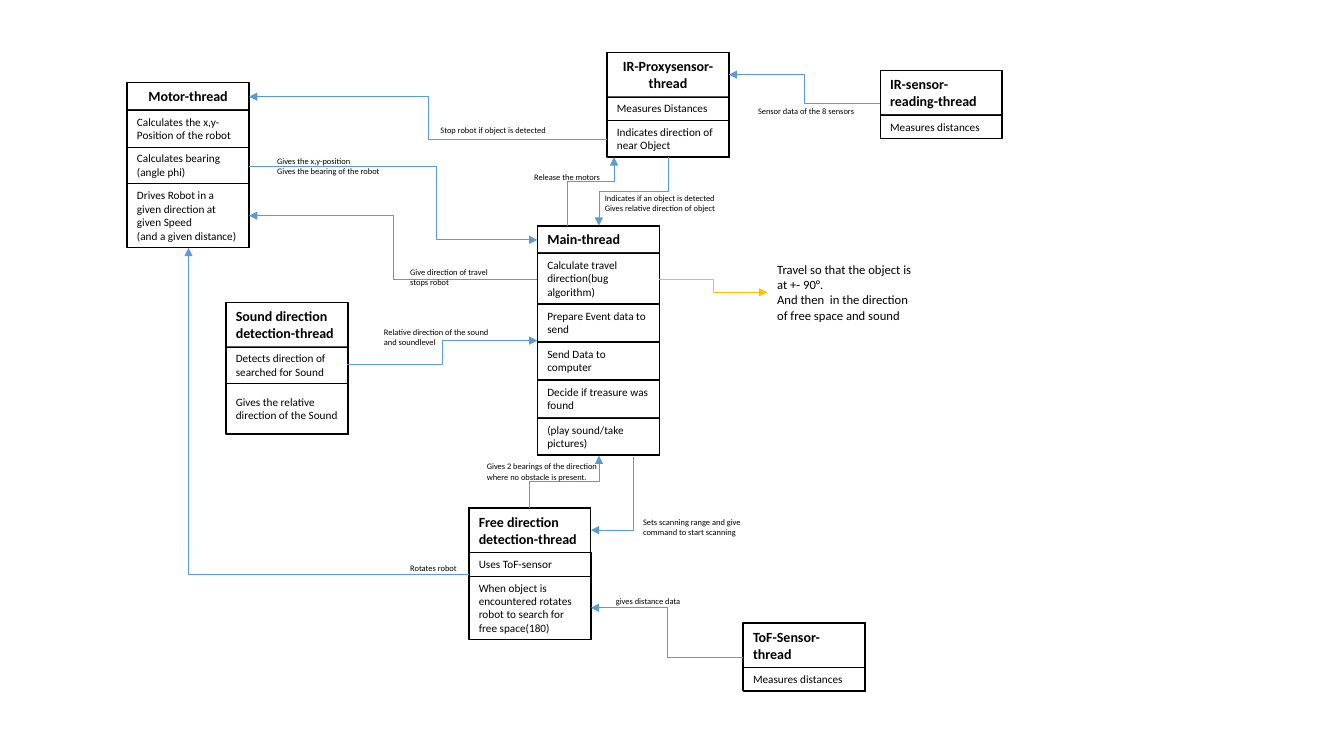
import pptx
import pptx.util
import pptx.dml.color
import pptx.enum.dml
import pptx.enum.shapes
import pptx.enum.text
import pptx.oxml.ns
import lxml.etree

Inches = pptx.util.Inches
Pt = pptx.util.Pt
ALIGN = pptx.enum.text.PP_ALIGN
COLORS = {"ink": "000000", "paper": "FFFFFF", "flow": "5B9BD5", "hint": "FFC000"}
RGB = {name: pptx.dml.color.RGBColor.from_string(value) for name, value in COLORS.items()}

BOX_WIDTH = 1.21
PADDING = 0.1
TITLE_LINE = 0.17
ROW_LINE = 0.133

presentation = pptx.Presentation()
presentation.slide_width = Inches(13.33)
presentation.slide_height = Inches(7.5)
slide = presentation.slides.add_slide(presentation.slide_layouts[6])


def write_text(shape, text, size, bold=False, align=ALIGN.LEFT):
    """Fill a shape with one paragraph for each line of text."""
    frame = shape.text_frame
    frame.word_wrap = True
    for index, line in enumerate(text.split("\n")):
        paragraph = frame.paragraphs[0] if index == 0 else frame.add_paragraph()
        paragraph.alignment = align
        run = paragraph.add_run()
        run.text = line
        run.font.name = "Calibri"
        run.font.size = Pt(size)
        run.font.bold = bold
        run.font.color.rgb = RGB["ink"]


def add_arrow(start, end, color="flow", vertical=False, bend=0.5):
    """Draw an elbow arrow; bend=None gives a single corner."""
    (x1, y1), (x2, y2) = start, end
    if vertical:
        # Lay the elbow flat around its centre, then turn it by 90 degrees
        cx, cy = (x1 + x2) / 2, (y1 + y2) / 2
        x1, y1, x2, y2 = cx + y1 - cy, cy - x1 + cx, cx + y2 - cy, cy - x2 + cx
    connector = slide.shapes.add_connector(
        pptx.enum.shapes.MSO_CONNECTOR.ELBOW,
        Inches(x1), Inches(y1), Inches(x2), Inches(y2))
    connector.line.color.rgb = RGB[color]
    connector.line.width = Pt(0.5)
    qn = pptx.oxml.ns.qn
    properties = connector._element.spPr
    if vertical:
        properties.find(qn("a:xfrm")).set("rot", "5400000")
    geometry = properties.find(qn("a:prstGeom"))
    if bend is None:
        geometry.set("prst", "bentConnector2")
    elif bend != 0.5:
        guide = lxml.etree.SubElement(geometry.find(qn("a:avLst")), qn("a:gd"))
        guide.set("name", "adj1")
        guide.set("fmla", f"val {round(bend * 100000)}")
    lxml.etree.SubElement(properties.find(qn("a:ln")), qn("a:tailEnd")).set("type", "triangle")
    lxml.etree.SubElement(properties, qn("a:effectLst"))


# Threads: left, top, title, title lines, title alignment, row gap, rows (text, lines)
threads = [
    (1.26, 0.82, "Motor-thread", 1, ALIGN.CENTER, 0, [
        ("Calculates the x,y-Position of the robot", 2),
        ("Calculates bearing (angle phi)", 2),
        ("Drives Robot in a given direction at given Speed\n(and a given distance)", 4)]),
    (6.02, 0.52, "IR-Proxysensor-thread", 2, ALIGN.CENTER, 0, [
        ("Measures Distances", 1),
        ("Indicates direction of near Object", 2)]),
    (2.24, 3.0, "Sound direction detection-thread", 2, ALIGN.LEFT, 0, [
        ("Detects direction of searched for Sound", 2),
        ("Gives the relative direction of the Sound", 3)]),
    (4.65, 5.04, "Free direction detection-thread", 2, ALIGN.LEFT, 0, [
        ("Uses ToF-sensor", 1),
        ("When object is encountered rotates robot to search for free space(180)", 4)]),
    (7.37, 6.18, "ToF-Sensor-thread", 2, ALIGN.LEFT, 0, [
        ("Measures distances", 1)]),
    (8.73, 0.7, "IR-sensor-reading-thread", 2, ALIGN.LEFT, 0, [
        ("Measures distances", 1)]),
    (5.33, 2.24, "Main-thread", 1, ALIGN.LEFT, 0.01, [
        ("Calculate travel direction(bug algorithm)", 3),
        ("Prepare Event data to send", 2),
        ("Send Data to computer", 2),
        ("Decide if treasure was found", 2),
        ("(play sound/take pictures)", 2)]),
]
for left, top, title, title_lines, title_align, row_gap, rows in threads:
    group = slide.shapes.add_group_shape()
    cells = [(title, PADDING + TITLE_LINE * title_lines, 10, 0.75, True, title_align)]
    cells += [(text, PADDING + ROW_LINE * lines, 8, 0.25, False, ALIGN.LEFT)
              for text, lines in rows]
    y = top
    for index, (text, height, size, border, bold, align) in enumerate(cells):
        if index > 1:
            y += row_gap
        cell = group.shapes.add_shape(
            pptx.enum.shapes.MSO_SHAPE.RECTANGLE,
            Inches(left), Inches(y), Inches(BOX_WIDTH), Inches(height))
        cell.shadow.inherit = False
        cell.fill.solid()
        cell.fill.fore_color.rgb = RGB["paper"]
        cell.line.color.rgb = RGB["ink"]
        cell.line.width = Pt(border)
        write_text(cell, text, size, bold, align)
        y += height
    # Outline around the whole thread
    outline = group.shapes.add_shape(
        pptx.enum.shapes.MSO_SHAPE.RECTANGLE,
        Inches(left), Inches(top), Inches(BOX_WIDTH), Inches(y - top))
    outline.shadow.inherit = False
    outline.fill.background()
    outline.line.color.rgb = RGB["ink"]
    outline.line.width = Pt(1)

# Arrows that leave sideways
add_arrow((6.02, 1.38), (2.47, 0.96))
add_arrow((8.73, 1.03), (7.23, 0.74))
add_arrow((7.37, 6.52), (5.86, 6.03))
add_arrow((5.33, 2.77), (2.47, 2.14))
add_arrow((3.44, 3.62), (5.33, 3.38))
add_arrow((2.47, 1.65), (5.33, 2.38), bend=0.65)
add_arrow((4.65, 5.7), (1.87, 2.46), bend=None)
add_arrow((6.54, 2.77), (7.61, 2.9), color="hint")

# Arrows that leave upwards or downwards
add_arrow((6.63, 1.56), (5.94, 2.24), vertical=True)
add_arrow((5.25, 5.04), (5.94, 4.52), vertical=True)
add_arrow((5.63, 2.24), (6.09, 1.56), vertical=True, bend=0.65)
add_arrow((6.28, 4.53), (5.86, 5.26), vertical=True, bend=None)

# Arrow labels and the travel note: left, top, width, height, size, text
labels = [
    (4.27, 1.19, 1.36, 0.2, 6, "Stop robot if object is detected"),
    (5.9, 1.87, 1.36, 0.3, 6,
     "Indicates if an object is detected\nGives relative direction of object"),
    (7.42, 1.0, 1.36, 0.2, 6, "Sensor data of the 8 sensors"),
    (3.97, 2.6, 1.36, 0.3, 6, "Give direction of travel\nstops robot"),
    (3.71, 3.2, 1.36, 0.3, 6, "Relative direction of the sound and soundlevel"),
    (2.65, 1.5, 1.36, 0.3, 6, "Gives the x,y-position\nGives the bearing of the robot"),
    (6.01, 5.86, 1.36, 0.2, 6, "gives distance data"),
    (4.73, 4.53, 1.36, 0.3, 6, "Gives 2 bearings of the direction where no obstacle is present."),
    (6.28, 5.08, 1.36, 0.3, 6, "Sets scanning range and give command to start scanning"),
    (3.97, 5.54, 0.72, 0.2, 6, "Rotates robot"),
    (5.2, 1.66, 0.85, 0.3, 6, "Release the motors"),
    (7.61, 2.55, 1.6, 0.71, 9,
     "Travel so that the object is at +- 90°.\n"
     "And then  in the direction of free space and sound"),
]
for left, top, width, height, size, text in labels:
    label = slide.shapes.add_textbox(Inches(left), Inches(top), Inches(width), Inches(height))
    write_text(label, text, size)

presentation.save("out.pptx")
